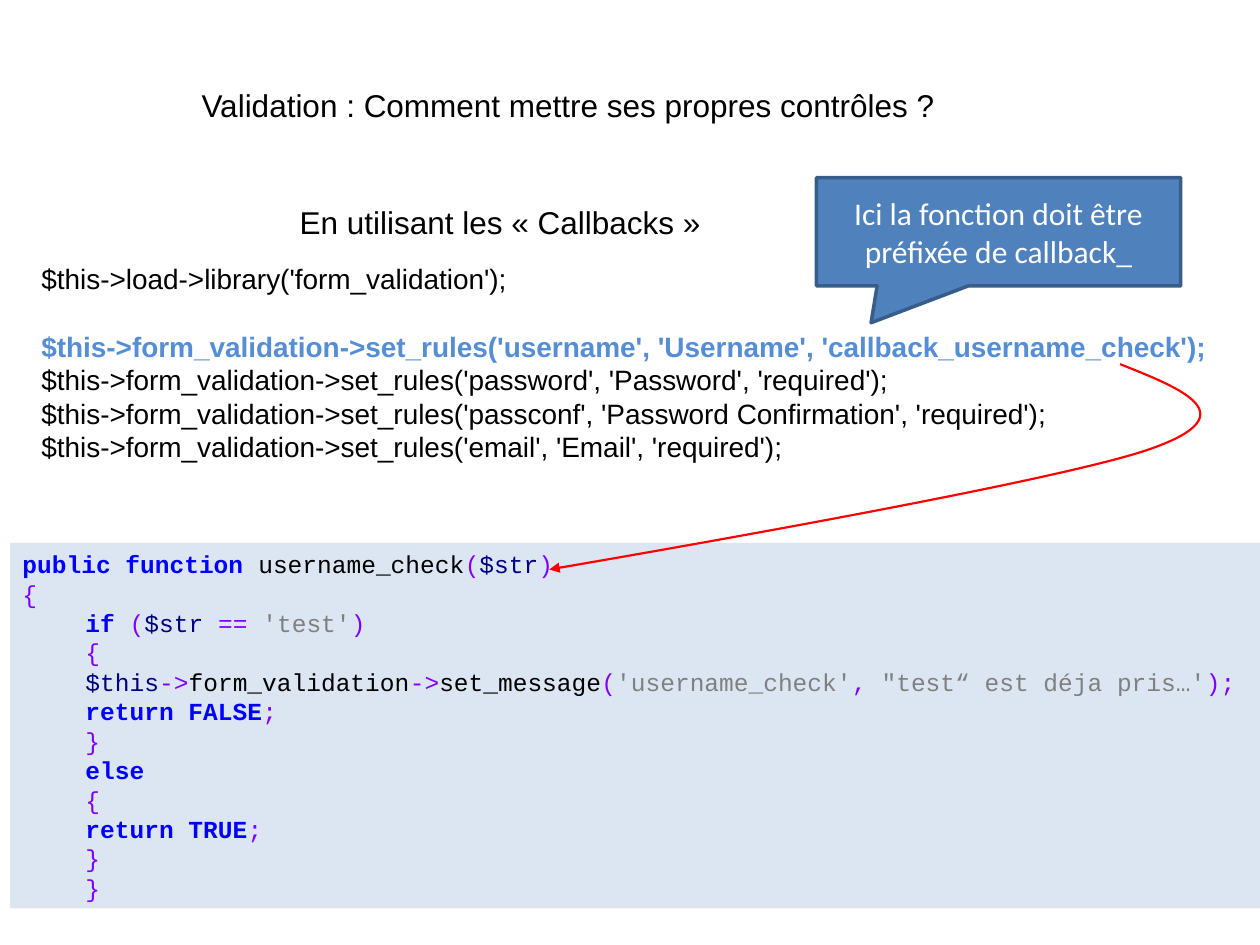
from lxml.etree import SubElement
from pptx import Presentation
from pptx.dml.color import RGBColor
from pptx.enum.shapes import MSO_SHAPE as Shape
from pptx.enum.text import MSO_ANCHOR as Anchor, MSO_AUTO_SIZE as Auto, PP_ALIGN as Align
from pptx.oxml.ns import qn
from pptx.util import Inches, Pt

BLACK = RGBColor(0x00, 0x00, 0x00)
WHITE = RGBColor(0xFF, 0xFF, 0xFF)
RED = RGBColor(0xFF, 0x00, 0x00)
SKY = RGBColor(0x55, 0x8E, 0xD5)
PALE = RGBColor(0xDC, 0xE6, 0xF2)
STEEL = RGBColor(0x4F, 0x81, 0xBD)
EDGE = RGBColor(0x38, 0x5D, 0x8A)
KEY = RGBColor(0x00, 0x00, 0xFF)
SIGN = RGBColor(0x80, 0x00, 0xFF)
VAR = RGBColor(0x00, 0x00, 0x80)
QUOTE = RGBColor(0x80, 0x80, 0x80)

# Content
TITLE = "Validation : Comment mettre ses propres contrôles ?"
SUB = "En utilisant les «\u00a0Callbacks\u00a0»"
NOTE = ["Ici la fonction doit être", "préfixée de callback_"]
LOAD = "$this->load->library('form_validation');"
HOT = "$this->form_validation->set_rules('username', 'Username', 'callback_username_check');"
RULES = [
    LOAD,
    HOT,
    "$this->form_validation->set_rules('password', 'Password', 'required');",
    "$this->form_validation->set_rules('passconf', 'Password Confirmation', 'required');",
    "$this->form_validation->set_rules('email', 'Email', 'required');",
]
OPEN, CLOSE = [("{", SIGN)], [("}", SIGN)]
CODE = [  # (level, coloured parts)
    (0, [("public function", KEY), (" username_check", BLACK), ("(", SIGN),
         ("$str", VAR), (")", SIGN)]),
    (0, OPEN),
    (1, [("if ", KEY), ("(", SIGN), ("$str ", VAR), ("== ", SIGN),
         ("'test'", QUOTE), (")", SIGN)]),
    (1, OPEN),
    (1, [("$this", VAR), ("->", SIGN), ("form_validation", BLACK), ("->", SIGN),
         ("set_message", BLACK), ("(", SIGN), ("'username_check'", QUOTE),
         (", ", SIGN), ("\"test“ est déja pris…'", QUOTE), (");", SIGN)]),
    (1, [("return FALSE", KEY), (";", SIGN)]),
    (1, CLOSE),
    (1, [("else", KEY)]),
    (1, OPEN),
    (1, [("return TRUE", KEY), (";", SIGN)]),
    (1, CLOSE),
    (1, CLOSE),
]
# Start point, then three points for each curve
CURVE = [(8.89, 2.89), (9.39, 3.09), (9.9, 3.29), (9.14, 3.56),
         (8.39, 3.83), (4.36, 4.52), (4.36, 4.52)]


def style(para, size, face, color=None, bold=False):
    font = para.font
    font.size, font.name, font.bold = Pt(size), face, bold
    if color is not None:
        font.color.rgb = color


def lines(frame, count):
    """Return the frame's first paragraph and as many new ones as needed."""
    return [frame.paragraphs[0]] + [frame.add_paragraph() for _ in range(count - 1)]


def place(shape, x, y, w, h):
    shape.left, shape.top, shape.width, shape.height = map(Inches, (x, y, w, h))


def box(kind, x, y, w, h, fill):
    shape = slide.shapes.add_shape(kind, *map(Inches, (x, y, w, h)))
    shape.shadow.inherit = False
    shape.fill.solid()
    shape.fill.fore_color.rgb = fill
    shape.text_frame.vertical_anchor = Anchor.MIDDLE
    return shape


deck = Presentation()
deck.slide_width, deck.slide_height = Inches(10), Inches(7.5)
slide = deck.slides.add_slide(deck.slide_layouts[5])

# Title and subtitle
head = slide.shapes.title
place(head, 1.5, 0.63, 6.03, 0.4)
sub = slide.shapes.add_textbox(*map(Inches, (2.28, 1.56, 3.38, 0.4)))
for shape, text in ((head, TITLE), (sub, SUB)):
    frame = shape.text_frame
    frame.text = text
    frame.word_wrap, frame.auto_size = False, Auto.NONE
    frame.vertical_anchor = Anchor.TOP
    frame.paragraphs[0].alignment = Align.LEFT
    style(frame.paragraphs[0], 18, "Arial", BLACK)

# Validation rules, with a gap after the first
rules = slide.shapes.add_textbox(*map(Inches, (0.23, 2.03, 10.31, 1.7)))
rules.text_frame.word_wrap = True
for para, text in zip(lines(rules.text_frame, len(RULES)), RULES):
    hot = text == HOT
    para.text = text
    para.line_spacing = Pt(19.2)
    if hot:
        para.space_before = Pt(19.2)
    style(para, 16, "Arial", SKY if hot else BLACK, hot)

# Callback code
panel = box(Shape.RECTANGLE, 0.08, 4.31, 9.92, 2.9, PALE)
panel.line.fill.background()
for para, (level, parts) in zip(lines(panel.text_frame, len(CODE)), CODE):
    para.level, para.alignment = level, Align.LEFT
    para.line_spacing = Pt(16.8)
    style(para, 14, "Courier New")
    for text, color in parts:
        run = para.add_run()
        run.text = text
        run.font.color.rgb = color
        run.font.bold = color == KEY

# Curved arrow from the rule to its function
points = [(Inches(x), Inches(y)) for x, y in CURVE]
pen = slide.shapes.build_freeform(*points[0])
pen.add_line_segments(points[1:], close=False)
arrow = pen.convert_to_shape()
arrow.shadow.inherit = False
arrow.fill.background()
arrow.line.color.rgb, arrow.line.width = RED, Pt(1.25)
track = next(arrow.element.iter(qn("a:path")))
steps = track.findall(qn("a:lnTo"))
for i in range(0, len(steps), 3):
    bend = SubElement(track, qn("a:cubicBezTo"))
    for step in steps[i:i + 3]:
        bend.append(step[0])
        track.remove(step)
SubElement(arrow.line._get_or_add_ln(), qn("a:tailEnd"), type="triangle")

# Callout
note = box(Shape.RECTANGULAR_CALLOUT, 6.48, 1.41, 2.89, 0.86, STEEL)
note.adjustments[0], note.adjustments[1] = -0.35, 0.84
note.line.color.rgb, note.line.width = EDGE, Pt(2)
for para, text in zip(lines(note.text_frame, len(NOTE)), NOTE):
    para.text, para.alignment = text, Align.CENTER
    style(para, 18, "Calibri", WHITE)

deck.save("out.pptx")
